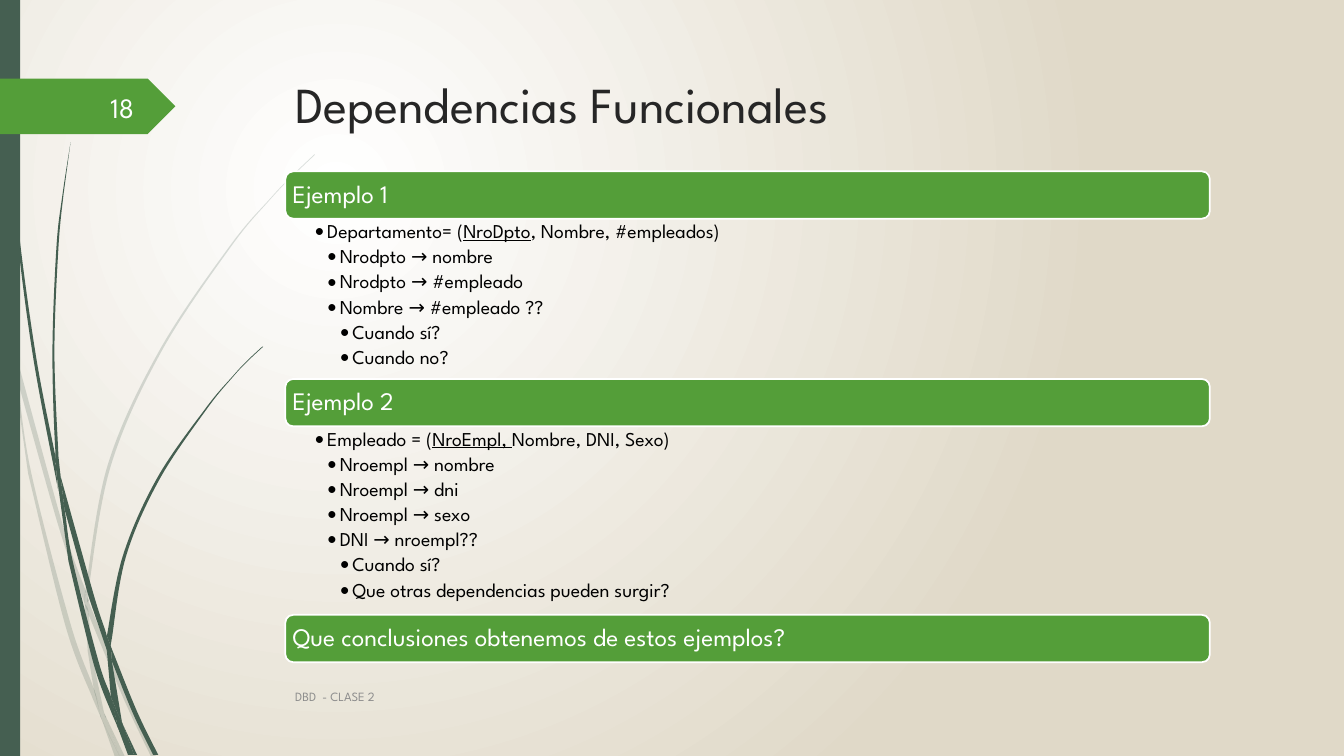
from lxml import etree
from pptx import Presentation
from pptx.dml.color import RGBColor
from pptx.enum.shapes import MSO_SHAPE
from pptx.enum.text import MSO_ANCHOR, PP_ALIGN
from pptx.oxml import parse_xml
from pptx.oxml.ns import nsdecls, qn
from pptx.util import Inches, Pt

BAR, RECTANGLE, TAG = MSO_SHAPE.ROUNDED_RECTANGLE, MSO_SHAPE.RECTANGLE, MSO_SHAPE.PENTAGON
TOP, MIDDLE = MSO_ANCHOR.TOP, MSO_ANCHOR.MIDDLE
LEFT, RIGHT = PP_ALIGN.LEFT, PP_ALIGN.RIGHT
FONT = "League Spartan"
WIDTH, HEIGHT = 13.33, 7.5
COLORS = {"grass": "455F51", "green": "549E39", "white": "FFFFFF", "sand": "E0D9C8",
          "title": "262626", "text": "000000", "footer": "8C8C8C", "number": "FEFFFF"}
BAR_HEIGHT, BULLET_STEP = 0.47, 0.125

# Each piece of a blade of grass: its one edge downwards, then its other edge upwards
PALE_BLADES = [
    ([(0, 2.82), (.09, 3.22), (.11, 3.5)], [(.1, 3.44), (0, 2.99)]),
    ([(.14, 3.45), (.62, 5.2), (.85, 5.86)], [(.84, 5.99), (.58, 5.22), (.17, 3.76)]),
    ([(.88, 5.96), (.92, 6.07), (1.27, 6.92), (1.55, 7.51)],
     [(1.5, 7.51), (1.23, 6.94), (.88, 6.1)]),
    ([(1.05, 7.11), (1.24, 7.51)], [(1.19, 7.51)]),
    ([(.11, 3.5), (.17, 3.76), (.31, 4.69), (.7, 6.19), (.93, 6.83), (.99, 7.07), (1.01, 7.14)],
     [(.92, 6.93), (.65, 6.21), (.28, 4.7)]),
    ([(.84, 5.99), (.88, 6.08), (.91, 6.46), (1.03, 7.06), (1.05, 7.11)],
     [(.96, 6.92), (.93, 6.83), (.87, 6.46)]),
    ([(3.12, 1.53), (2.89, 1.75), (2.68, 1.97), (2.28, 2.44), (1.58, 3.48), (1.07, 4.61),
      (.85, 5.84), (.85, 5.86)],
     [(.88, 5.96), (.88, 5.84), (1.1, 4.62), (1.6, 3.49), (2.29, 2.45), (2.68, 1.98),
      (2.9, 1.75), (3.12, 1.54)]),
    ([(1.01, 7.14), (1.14, 7.51)], [(1.19, 7.51)]),
    ([(.85, 5.86), (.84, 5.99), (.88, 6.08)], [(.88, 6.1), (.88, 5.96)]),
    ([(.93, 6.83), (.99, 7.07), (1.01, 7.14), (1.19, 7.51)], [(1.05, 7.11), (.96, 6.92)]),
]
DARK_BLADES = [
    ([(.03, 0), (.04, .48), (.07, 1.1), (.17, 2.33), (.33, 3.55), (.56, 4.77), (.57, 4.81)],
     [(.55, 4.57), (.55, 4.53), (.36, 3.55), (.19, 2.32), (.08, 1.09), (.05, .48), (.04, 0)]),
    ([(.6, 4.72), (.93, 5.9), (1.06, 6.31), (1.06, 6.45)], [(.88, 5.92), (.64, 5.05)]),
    ([(1.1, 6.41), (1.13, 6.49), (1.36, 7.06), (1.57, 7.49)],
     [(1.52, 7.49), (1.32, 7.08), (1.11, 6.56)]),
    ([(.57, 4.77), (.64, 5.05), (.72, 5.56), (.98, 6.57), (1.1, 6.91), (1.16, 7.17), (1.17, 7.22)],
     [(1.11, 7.08), (.93, 6.59), (.68, 5.57)]),
    ([(.7, 1.41), (.62, 1.93), (.56, 2.45), (.52, 3.49), (.55, 4.49), (.6, 4.72)],
     [(.58, 4.53), (.54, 3.49), (.58, 2.45), (.63, 1.93)]),
    ([(1.22, 7.19), (1.36, 7.49)], [(1.33, 7.49)]),
    ([(.55, 4.49), (.55, 4.53), (.57, 4.77), (.64, 5.05)], [(.6, 4.72)]),
    ([(2.6, 3.44), (2.45, 3.58), (2.31, 3.73), (2.04, 4.05), (1.56, 4.74), (1.22, 5.51),
      (1.06, 6.31)],
     [(1.1, 6.41), (1.11, 6.33), (1.25, 5.52), (1.58, 4.76), (2.05, 4.06), (2.31, 3.74),
      (2.45, 3.59), (2.61, 3.44)]),
    ([(1.17, 7.22), (1.27, 7.49)], [(1.31, 7.49)]),
    ([(1.06, 6.45), (1.09, 6.51), (1.11, 6.56), (1.21, 7.16), (1.22, 7.19)],
     [(1.16, 7.06), (1.1, 6.91)]),
    ([(1.06, 6.31), (1.06, 6.45), (1.11, 6.56)], [(1.1, 6.41)]),
    ([(1.1, 6.91), (1.16, 7.17), (1.17, 7.22), (1.3, 7.49)],
     [(1.33, 7.49), (1.22, 7.19), (1.16, 7.06)]),
]

# Each example: heading, height of its list, lines as (level, texts); a second text is the key
EXAMPLES = [
    ("Ejemplo 1", 1.59, [
        (1, ["Departamento= (", "NroDpto", ", Nombre, #empleados)"]),
        (2, ["Nrodpto → nombre"]), (2, ["Nrodpto → #empleado"]), (2, ["Nombre → #empleado ??"]),
        (3, ["Cuando sí?"]), (3, ["Cuando no?"])]),
    ("Ejemplo 2", 1.87, [
        (1, ["Empleado = (", "NroEmpl, ", "Nombre, DNI, Sexo)"]),
        (2, ["Nroempl → nombre"]), (2, ["Nroempl → dni"]), (2, ["Nroempl → sexo"]),
        (2, ["DNI → nroempl??"]),
        (3, ["Cuando sí?"]), (3, ["Que otras dependencias pueden surgir?"])]),
    ("Que conclusiones obtenemos de estos ejemplos?", 0, []),
]


def rgb(color):
    return RGBColor.from_string(COLORS[color])


def paint(shape, color):
    shape.shadow.inherit = False
    shape.fill.solid()
    shape.fill.fore_color.rgb = rgb(color)
    shape.line.fill.background()


def add_block(slide, kind, box, color):
    block = slide.shapes.add_shape(kind, *map(Inches, box))
    paint(block, color)
    return block


def prepare_frame(frame, insets=(0.1, 0.05, 0.1, 0.05), anchor=MIDDLE):
    frame.word_wrap = True
    frame.vertical_anchor = anchor
    (frame.margin_left, frame.margin_top,
     frame.margin_right, frame.margin_bottom) = map(Inches, insets)
    return frame


def add_run(paragraph, text, size, color, underlined=False):
    run = paragraph.add_run()
    run.text = text
    run.font.name, run.font.size = FONT, Pt(size)
    run.font.color.rgb = rgb(color)
    if underlined:
        run.font.underline = True


def add_label(slide, box, text, size, color, anchor=MIDDLE, align=LEFT):
    label = slide.shapes.add_textbox(*map(Inches, box))
    paragraph = prepare_frame(label.text_frame, anchor=anchor).paragraphs[0]
    paragraph.alignment = align
    add_run(paragraph, text, size, color)


def space_lines(paragraph, after_percent):
    """Tighten the lines and set the space after as a share of the text size."""
    paragraph.line_spacing = 0.9
    after = etree.SubElement(paragraph._p.get_or_add_pPr(), qn("a:spcAft"))
    etree.SubElement(after, qn("a:spcPct")).set("val", str(after_percent * 1000))


def set_background(slide):
    stops = "".join(f'<a:gs pos="{pos}"><a:srgbClr val="{COLORS[color]}"/></a:gs>'
                    for pos, color in ((0, "white"), (100000, "sand")))
    slide.element.cSld.insert(0, parse_xml(
        f'<p:bg {nsdecls("p", "a")}><p:bgPr><a:gradFill><a:gsLst>{stops}</a:gsLst>'
        '<a:path path="circle"><a:fillToRect l="50000" t="50000" r="100000" b="100000"/>'
        '</a:path></a:gradFill><a:effectLst/></p:bgPr></p:bg>'))


def bend(segments, edge, left, top):
    """Turn the straight segments along an edge into smooth cubic curves."""
    padded = [edge[0], *edge, edge[-1]]
    for segment, a, b, c, d in zip(segments, padded, padded[1:], padded[2:], padded[3:]):
        segment.tag = qn("a:cubicBezTo")
        controls = ([q + (r - p) / 6 for p, q, r in zip(a, b, c)],
                    [r - (s - q) / 6 for q, r, s in zip(b, c, d)])
        for i, (x, y) in enumerate(controls):
            point = etree.Element(qn("a:pt"))
            point.set("x", str(Inches(x) - left))
            point.set("y", str(Inches(y) - top))
            segment.insert(i, point)


def add_blade(slide, down, up, opacity):
    outline = [(Inches(x), Inches(y)) for x, y in down + up]
    builder = slide.shapes.build_freeform(*outline[0])
    builder.add_line_segments(outline[1:], close=True)
    blade = builder.convert_to_shape()
    paint(blade, "grass")
    segments = list(blade._element.iter(qn("a:lnTo")))
    bend(segments[:len(down) - 1], down, blade.left, blade.top)
    bend(segments[len(down):len(outline) - 1], up, blade.left, blade.top)
    if opacity < 100:
        color = blade._element.spPr.find(qn("a:solidFill"))[0]
        etree.SubElement(color, qn("a:alpha")).set("val", str(opacity * 1000))


def add_side_decoration(slide):
    for blades, opacity in ((PALE_BLADES, 20), (DARK_BLADES, 100)):
        for down, up in blades:
            add_blade(slide, down, up, opacity)
    add_block(slide, RECTANGLE, (0, 0, 0.2, HEIGHT), "grass")
    add_block(slide, TAG, (0, 0.78, 1.74, 0.55), "green")


def add_heading_bar(slide, box, heading):
    bar = add_block(slide, BAR, box, "green")
    bar.line.color.rgb, bar.line.width = rgb("white"), Pt(1.25)
    paragraph = prepare_frame(bar.text_frame, (0.05,) * 4).paragraphs[0]
    paragraph.alignment = LEFT
    space_lines(paragraph, 35)
    add_run(paragraph, heading, 18, "white")


def add_dependency_list(slide, box, lines):
    listing = slide.shapes.add_textbox(*map(Inches, box))
    frame = prepare_frame(listing.text_frame, (0.29, 0.03, 0.14, 0.03), TOP)
    for i, (level, texts) in enumerate(lines):
        paragraph = frame.add_paragraph() if i else frame.paragraphs[0]
        paragraph.level = level
        space_lines(paragraph, 20)
        properties = paragraph._p.get_or_add_pPr()
        properties.set("marL", str(Inches(BULLET_STEP * level)))
        properties.set("indent", str(-Inches(BULLET_STEP)))
        etree.SubElement(properties, qn("a:buFont")).set("typeface", "+mn-lt")
        etree.SubElement(properties, qn("a:buChar")).set("char", "•")
        for position, text in enumerate(texts):
            add_run(paragraph, text, 14, "text", underlined=position == 1)


def add_examples(slide, left, top, width):
    for heading, list_height, lines in EXAMPLES:
        add_heading_bar(slide, (left, top, width, BAR_HEIGHT), heading)
        top += BAR_HEIGHT
        if lines:
            add_dependency_list(slide, (left, top, width, list_height), lines)
        top += list_height


deck = Presentation()
deck.slide_width, deck.slide_height = Inches(WIDTH), Inches(HEIGHT)
page = deck.slides.add_slide(deck.slide_layouts[6])
set_background(page)
add_side_decoration(page)
add_label(page, (2.83, 0.68, 9.75, 1.4), "Dependencias Funcionales", 36, "title", TOP)
add_examples(page, 2.83, 1.7, 9.17)
add_label(page, (2.83, 6.71, 8.33, 0.4), "DBD  - CLASE 2", 9, "footer")
add_label(page, (0.58, 0.86, 0.85, 0.4), "18", 20, "number", align=RIGHT)
deck.save("out.pptx")
